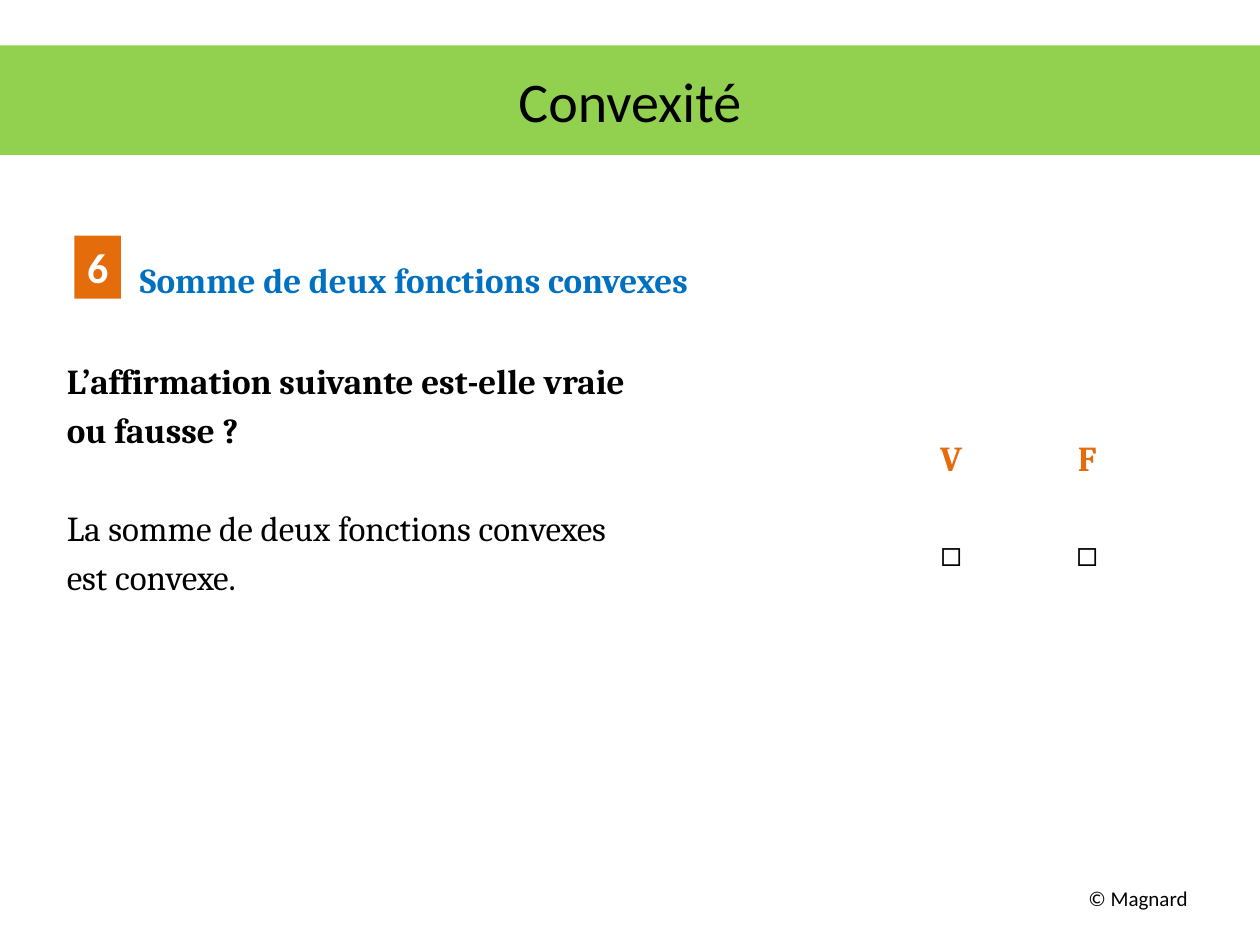
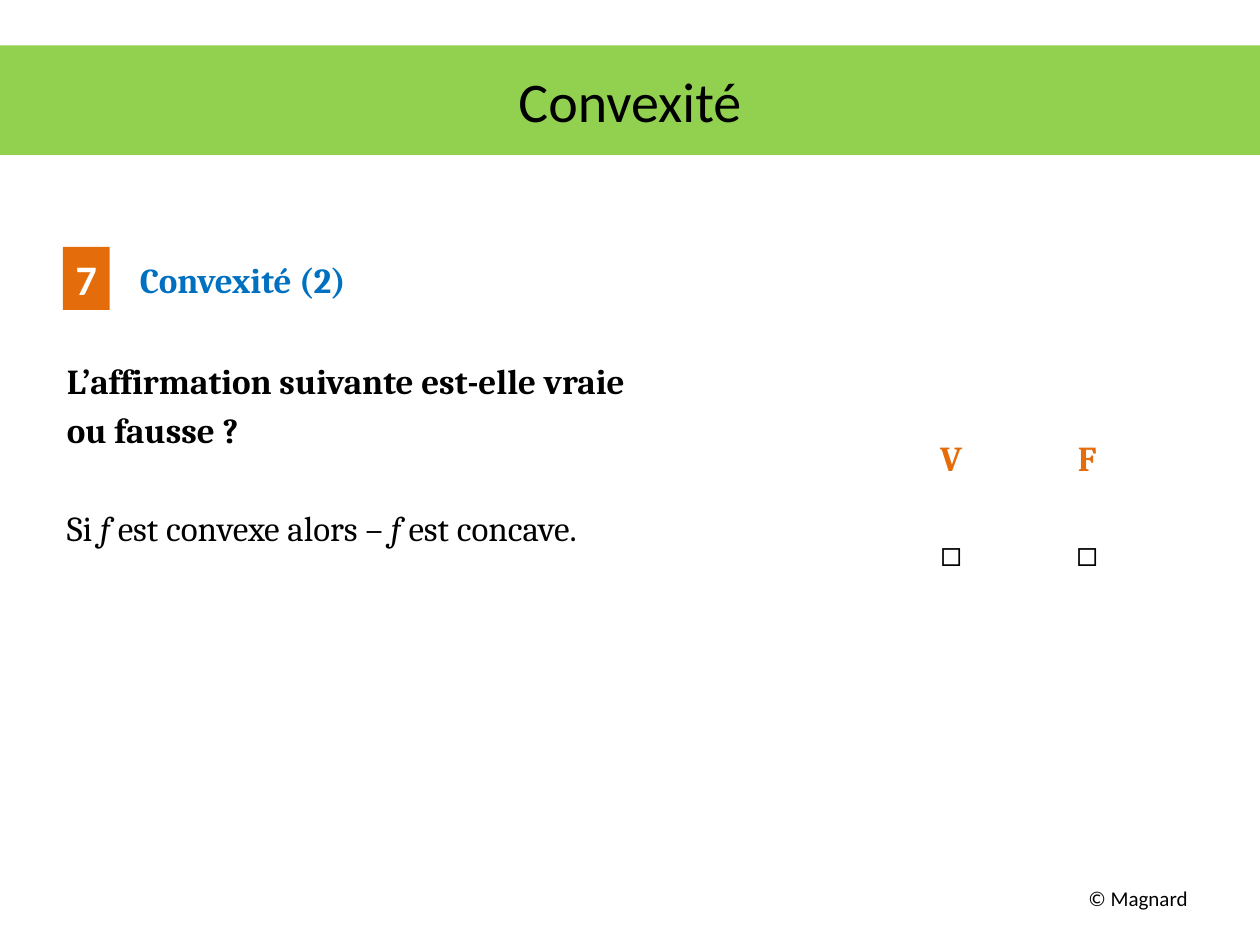
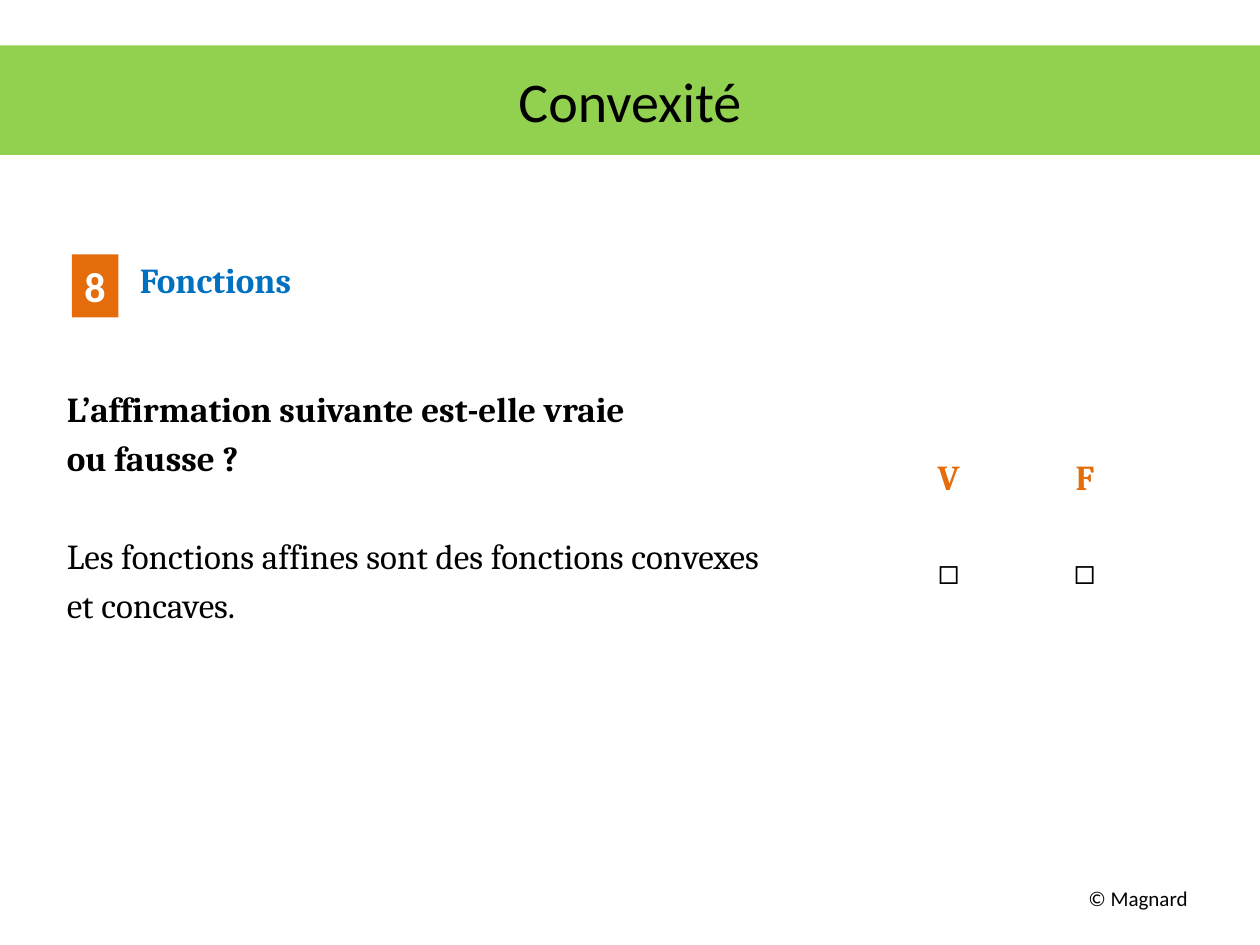
"""Build the three true-or-false slides on convexity."""

from dataclasses import dataclass

import pptx
import pptx.dml.color
import pptx.enum.shapes
import pptx.enum.text
import pptx.oxml.ns
import pptx.presentation
import pptx.shapes.base
import pptx.slide
import pptx.text.text
import pptx.util
from lxml import etree

WIDTH, HEIGHT = pptx.util.Inches(10), pptx.util.Inches(7.5)
COLUMN, ROW = WIDTH / 100, HEIGHT / 75
COLORS = {
    "band": "92D050",
    "accent": "E46C0A",
    "heading": "0070C0",
    "text": "000000",
    "badge text": "FFFFFF",
}
SANS, SERIF = "Calibri", "Cambria"
TOPIC = "Convexité"
COPYRIGHT = "© Magnard"
QUESTION = ("L’affirmation suivante est-elle vraie", "ou fausse ?")
CHOICES = ("V", "F")
LINE_HEIGHT, HEADING_HEIGHT = 28, 34


@dataclass(frozen=True)
class Area:
    """A rectangle in grid columns and rows."""

    left: float
    top: float
    width: float
    height: float

    def box(self) -> tuple[int, int, int, int]:
        """Return left, top, width and height as lengths."""
        return (
            round(self.left * COLUMN),
            round(self.top * ROW),
            round(self.width * COLUMN),
            round(self.height * ROW),
        )


@dataclass(frozen=True)
class Style:
    """The look of a run of text."""

    size: float
    font: str = SERIF
    color: str = "text"
    bold: bool = False
    italic: bool = False


@dataclass(frozen=True)
class Exercise:
    """One statement to judge, with the places that vary."""

    number: int
    heading: str
    statement: tuple[tuple[tuple[str, Style], ...], ...]
    badge_at: tuple[float, float]
    answers_at: tuple[float, float] = (70.1, 34.4)
    question_gap: float = 30


TITLE = Style(32, SANS)
FOOTER = Style(12, SANS)
BADGE = Style(24, SANS, "badge text", bold=True)
HEADING = Style(20, color="heading", bold=True)
STRONG = Style(20, bold=True)
PLAIN = Style(20)
VARIABLE = Style(20, italic=True)
CHOICE = Style(20, color="accent", bold=True)

BAND_AREA = Area(0, 3.6, 100, 8.7)
BODY_AREA = Area(4.3, 18.6, 90, 49.5)
FOOTER_AREA = Area(85.4, 69.8, 10.3, 3)
BADGE_SIZE = (3.7, 5)
ANSWERS_SIZE = (21.6, 24)
ANSWER_ROWS = (7.6, 7.6, 4.3, 4.3)
HEADING_INDENT = 5.8

EXERCISES = (
    Exercise(
        6,
        "Somme de deux fonctions convexes",
        (
            (("La somme de deux fonctions convexes", PLAIN),),
            (("est convexe.", PLAIN),),
        ),
        (5.9, 18.7),
    ),
    Exercise(
        7,
        "Convexité (2)",
        (
            (
                ("Si ", PLAIN),
                ("f ", VARIABLE),
                ("est convexe alors – ", PLAIN),
                ("f ", VARIABLE),
                ("est concave.", PLAIN),
            ),
        ),
        (5, 19.6),
    ),
    Exercise(
        8,
        "Fonctions",
        (
            (("Les fonctions affines sont des fonctions convexes", PLAIN),),
            (("et concaves.", PLAIN),),
        ),
        (5.7, 20.2),
        answers_at=(69.9, 35.9),
        question_gap=46,
    ),
)


def rgb(name: str) -> pptx.dml.color.RGBColor:
    """Return a named colour."""
    return pptx.dml.color.RGBColor.from_string(COLORS[name])


def place(shape: pptx.shapes.base.BaseShape, area: Area) -> None:
    """Move a shape to an area."""
    shape.left, shape.top, shape.width, shape.height = area.box()


def add_run(paragraph: pptx.text.text._Paragraph, text: str, style: Style) -> None:
    """Add a styled run to a paragraph."""
    run = paragraph.add_run()
    run.text = text
    run.font.size = pptx.util.Pt(style.size)
    run.font.name = style.font
    run.font.bold = style.bold
    run.font.italic = style.italic
    run.font.color.rgb = rgb(style.color)


def add_line(
    paragraph: pptx.text.text._Paragraph,
    runs: tuple[tuple[str, Style], ...],
    gap: float = 0,
    height: float = LINE_HEIGHT,
    indent: float = 0,
) -> None:
    """Fill a body paragraph as an unbulleted line of fixed height."""
    properties = paragraph._p.get_or_add_pPr()
    properties.set("marL", str(round(indent * COLUMN)))
    properties.set("indent", "0")
    etree.SubElement(properties, pptx.oxml.ns.qn("a:buNone"))
    paragraph.line_spacing = pptx.util.Pt(height)
    paragraph.space_before = pptx.util.Pt(gap)
    for text, style in runs:
        add_run(paragraph, text, style)


def draw_title(slide: pptx.slide.Slide) -> None:
    """Fill the title band."""
    title = slide.shapes.title
    place(title, BAND_AREA)
    title.fill.solid()
    title.fill.fore_color.rgb = rgb("band")
    title.text_frame.vertical_anchor = pptx.enum.text.MSO_ANCHOR.MIDDLE
    paragraph = title.text_frame.paragraphs[0]
    paragraph.alignment = pptx.enum.text.PP_ALIGN.CENTER
    add_run(paragraph, TOPIC, TITLE)


def draw_body(slide: pptx.slide.Slide, exercise: Exercise) -> None:
    """Write the heading, the question and the statement."""
    body = slide.placeholders[1]
    place(body, BODY_AREA)
    frame = body.text_frame
    frame.auto_size = pptx.enum.text.MSO_AUTO_SIZE.NONE
    add_line(
        frame.paragraphs[0],
        ((exercise.heading, HEADING),),
        height=HEADING_HEIGHT,
        indent=HEADING_INDENT,
    )
    question = tuple(((line, STRONG),) for line in QUESTION)
    for block, first_gap in (
        (question, exercise.question_gap),
        (exercise.statement, LINE_HEIGHT),
    ):
        for index, runs in enumerate(block):
            add_line(frame.add_paragraph(), runs, 0 if index else first_gap)


def draw_badge(slide: pptx.slide.Slide, exercise: Exercise) -> None:
    """Draw the exercise number on its coloured square."""
    badge = slide.shapes.add_shape(
        pptx.enum.shapes.MSO_SHAPE.RECTANGLE,
        *Area(*exercise.badge_at, *BADGE_SIZE).box(),
    )
    badge.shadow.inherit = False
    badge.fill.solid()
    badge.fill.fore_color.rgb = rgb("accent")
    badge.line.fill.background()
    badge.text_frame.word_wrap = False
    badge.text_frame.vertical_anchor = pptx.enum.text.MSO_ANCHOR.TOP
    paragraph = badge.text_frame.paragraphs[0]
    paragraph.alignment = pptx.enum.text.PP_ALIGN.CENTER
    add_run(paragraph, str(exercise.number), BADGE)


def draw_answers(slide: pptx.slide.Slide, exercise: Exercise) -> None:
    """Draw the table of boxes to tick."""
    answers = slide.shapes.add_table(
        len(ANSWER_ROWS),
        len(CHOICES),
        *Area(*exercise.answers_at, *ANSWERS_SIZE).box(),
    ).table
    answers.first_row = False
    answers.horz_banding = False
    for row, height in zip(answers.rows, ANSWER_ROWS):
        row.height = round(height * ROW)
    for cell in answers.iter_cells():
        cell.fill.background()
    for column, choice in enumerate(CHOICES):
        for row, (text, style) in enumerate(((choice, CHOICE), ("◻", PLAIN))):
            paragraph = answers.cell(row, column).text_frame.paragraphs[0]
            paragraph.alignment = pptx.enum.text.PP_ALIGN.CENTER
            add_run(paragraph, text, style)


def draw_footer(slide: pptx.slide.Slide) -> None:
    """Write the copyright line."""
    footer = slide.shapes.add_textbox(*FOOTER_AREA.box())
    footer.text_frame.word_wrap = True
    add_run(footer.text_frame.paragraphs[0], COPYRIGHT, FOOTER)


def draw_exercise(deck: pptx.presentation.Presentation, exercise: Exercise) -> None:
    """Add the slide of one exercise."""
    slide = deck.slides.add_slide(deck.slide_layouts[1])
    draw_title(slide)
    draw_body(slide, exercise)
    draw_badge(slide, exercise)
    draw_answers(slide, exercise)
    draw_footer(slide)


def main() -> None:
    """Build and save the presentation."""
    deck = pptx.Presentation()
    deck.slide_width, deck.slide_height = WIDTH, HEIGHT
    for exercise in EXERCISES:
        draw_exercise(deck, exercise)
    deck.save("out.pptx")


if __name__ == "__main__":
    main()
